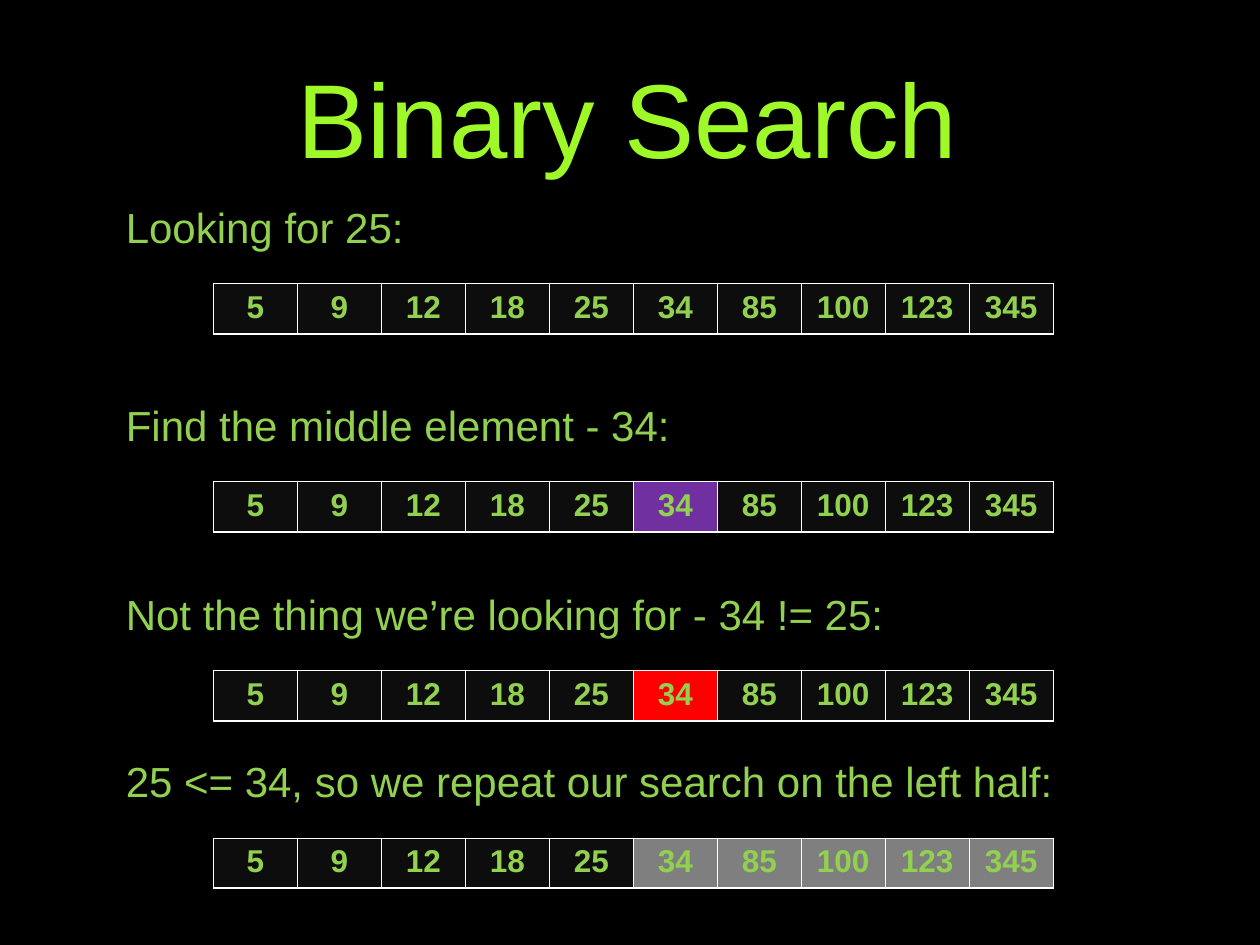
import dataclasses

import lxml.etree
import pptx
import pptx.dml.color
import pptx.enum.text
import pptx.oxml.ns
import pptx.util


@dataclasses.dataclass(frozen=True)
class Theme:
    font: str = "Arial"
    background: str = "000000"
    title: str = "9FF828"
    text: str = "92D050"
    border: str = "FFFFFF"
    cell: str = "0D0D0D"
    middle: str = "7030A0"
    mismatch: str = "FF0000"
    discarded: str = "7F7F7F"
    title_size: int = 60
    caption_size: int = 24
    cell_size: int = 18
    thin_line: float = 0.45
    thick_line: float = 1.47


class SearchSlide:
    """Place the parts of a search walkthrough on a grid of 15 columns and 75 rows."""

    def __init__(self, presentation, theme):
        self.theme = theme
        self.column = presentation.slide_width / 15
        self.row = presentation.slide_height / 75
        self.slide = presentation.slides.add_slide(presentation.slide_layouts[5])
        fill = self.slide.background.fill
        fill.solid()
        fill.fore_color.rgb = self.color(theme.background)

    def color(self, value):
        return pptx.dml.color.RGBColor.from_string(value)

    def box(self, left, top, width, height):
        return (round(left * self.column), round(top * self.row),
                round(width * self.column), round(height * self.row))

    def set_text(self, text_frame, text, size, color, bold=False, centered=False):
        text_frame.text = text
        paragraph = text_frame.paragraphs[0]
        alignment = pptx.enum.text.PP_ALIGN
        paragraph.alignment = alignment.CENTER if centered else alignment.LEFT
        paragraph.font.name = self.theme.font
        paragraph.font.size = pptx.util.Pt(size)
        paragraph.font.bold = bold
        paragraph.font.color.rgb = self.color(color)

    def title(self, text, *grid_box):
        shape = self.slide.shapes.title
        shape.left, shape.top, shape.width, shape.height = self.box(*grid_box)
        frame = shape.text_frame
        frame.vertical_anchor = pptx.enum.text.MSO_ANCHOR.MIDDLE
        frame.margin_left = frame.margin_top = frame.margin_bottom = pptx.util.Inches(0.06)
        frame.margin_right = pptx.util.Inches(0.1)
        self.set_text(frame, text, self.theme.title_size, self.theme.title, centered=True)

    def caption(self, text, *grid_box):
        frame = self.slide.shapes.add_textbox(*self.box(*grid_box)).text_frame
        frame.word_wrap = True
        frame.auto_size = pptx.enum.text.MSO_AUTO_SIZE.SHAPE_TO_FIT_TEXT
        self.set_text(frame, text, self.theme.caption_size, self.theme.text)

    def array(self, values, fills, left, top, height):
        grid_box = self.box(left, top, len(values), height)
        table = self.slide.shapes.add_table(1, len(values), *grid_box).table
        table.first_row = table.horz_banding = False
        for index, value in enumerate(values):
            cell = table.cell(0, index)
            self.set_text(cell.text_frame, str(value), self.theme.cell_size,
                          self.theme.text, bold=True, centered=True)
            cell.fill.solid()
            cell.fill.fore_color.rgb = self.color(fills.get(value, self.theme.cell))
            self.borders(cell)

    def borders(self, cell):
        properties = cell._tc.get_or_add_tcPr()
        name = pptx.oxml.ns.qn
        for position, side in enumerate("LRTB"):
            width = self.theme.thick_line if side == "B" else self.theme.thin_line
            line = lxml.etree.Element(name(f"a:ln{side}"), w=str(pptx.util.Pt(width)))
            fill = lxml.etree.SubElement(line, name("a:solidFill"))
            lxml.etree.SubElement(fill, name("a:srgbClr"), val=self.theme.border)
            properties.insert(position, line)


def main():
    presentation = pptx.Presentation()
    presentation.slide_width = pptx.util.Inches(10)
    presentation.slide_height = pptx.util.Inches(7.5)
    theme = Theme()
    search = SearchSlide(presentation, theme)
    search.title("Binary Search", 0.75, 0.7, 13.5, 17.1)

    values = [5, 9, 12, 18, 25, 34, 85, 100, 123, 345]
    middle = len(values) // 2
    steps = [
        ("Looking for 25:", 15.5, 5.2, {}),
        ("Find the middle element - 34:", 31.2, 8.63, {values[middle]: theme.middle}),
        ("Not the thing we’re looking for - 34 != 25:", 46.2, 10.04,
         {values[middle]: theme.mismatch}),
        ("25 <= 34, so we repeat our search on the left half:", 59.5, 12.17,
         dict.fromkeys(values[middle:], theme.discarded)),
    ]
    for text, top, width, fills in steps:
        search.caption(text, 1.35, top, width, 5)
        search.array(values, fills, 2.54, top + 7, 4)

    presentation.save("out.pptx")


if __name__ == "__main__":
    main()
